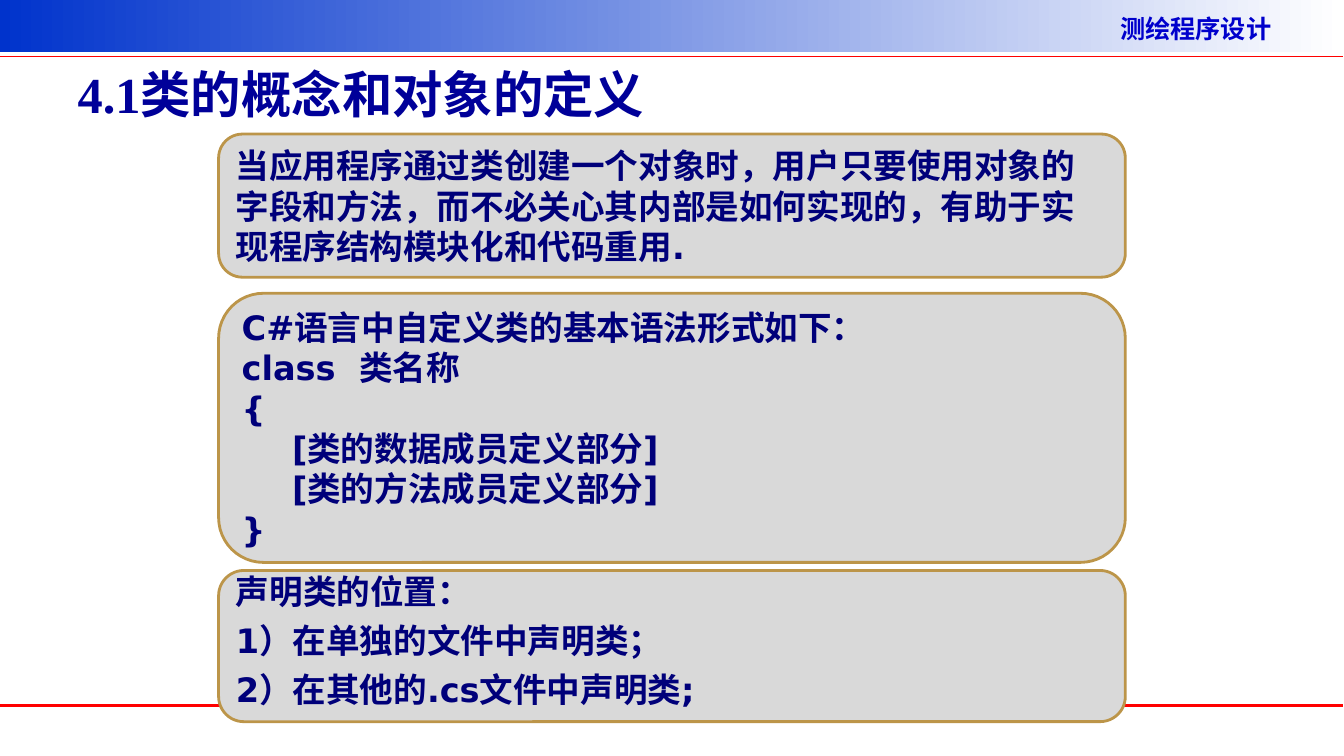
from pptx import Presentation
from pptx.dml.color import RGBColor
from pptx.enum.shapes import MSO_CONNECTOR, MSO_SHAPE
from pptx.enum.text import MSO_ANCHOR, PP_ALIGN
from pptx.oxml.ns import qn
from pptx.util import Inches, Pt
from lxml.etree import SubElement

COLORS = {"blue": "0033CC", "white": "FFFFFF", "course": "0000CC", "title": "000099",
          "red": "FF0000", "panel": "D9D9D9", "gold": "BC9549", "navy": "00007A"}
CJK = "Noto Sans CJK SC"
COURSE = {"name": CJK, "size": Pt(18), "bold": True}
TITLE = {"name": "Times New Roman", "size": Pt(36), "bold": True}
BODY = {"name": "DejaVu Sans", "size": Pt(24), "bold": True}
SPACED = {"line_spacing": Pt(20), "space_before": Pt(15)}

PANELS = [
    (1.33, 1.42, ["当应用程序通过类创建一个对象时，用户只要使用对象的字段和方法，"
                  "而不必关心其内部是如何实现的，有助于实现程序结构模块化和代码重用."], {}),
    (2.91, 2.67, ["C#语言中自定义类的基本语法形式如下：", "class  类名称", "{",
                  "\t[类的数据成员定义部分]", "\t[类的方法成员定义部分]", "}"], {}),
    (5.66, 1.5, ["声明类的位置：", "1）在单独的文件中声明类；",
                 "2）在其他的.cs文件中声明类;"], SPACED),
]


def rgb(name):
    return RGBColor.from_string(COLORS[name])


class SlideBuilder:
    def __init__(self, prs):
        self.s = prs.slides.add_slide(prs.slide_layouts[5])

    def fill_text(self, tf, lines, font, color, spacing):
        tf.word_wrap = True
        for i, line in enumerate(lines):
            p = tf.add_paragraph() if i else tf.paragraphs[0]
            p.alignment = PP_ALIGN.LEFT
            for key, value in spacing.items():
                setattr(p, key, value)
            r = p.add_run()
            r.text = line
            for key, value in font.items():
                setattr(r.font, key, value)
            r.font.color.rgb = rgb(color)
            SubElement(r.font._element, qn("a:ea")).set("typeface", CJK)

    def title(self, text, *box):
        sp = self.s.shapes.title
        sp.left, sp.top, sp.width, sp.height = map(Inches, box)
        sp.text_frame.vertical_anchor = MSO_ANCHOR.MIDDLE
        self.fill_text(sp.text_frame, [text], TITLE, "title", {})

    def text(self, text, *box):
        sp = self.s.shapes.add_textbox(*map(Inches, box))
        self.fill_text(sp.text_frame, [text], COURSE, "course", {})

    def banner(self, *box):
        sp = self.s.shapes.add_shape(MSO_SHAPE.RECTANGLE, *map(Inches, box))
        sp.shadow.inherit = False
        sp.line.fill.background()
        sp.fill.gradient()
        sp.fill.gradient_angle = 0
        for stop, color in zip(sp.fill.gradient_stops, ("blue", "white")):
            stop.color.rgb = rgb(color)

    def rule(self, y, weight):
        line = self.s.shapes.add_connector(
            MSO_CONNECTOR.STRAIGHT, 0, Inches(y), Inches(13.33), Inches(y))
        line.line.color.rgb = rgb("red")
        line.line.width = Pt(weight)
        SubElement(line._element.spPr, qn("a:effectLst"))

    def panel(self, top, height, lines, spacing):
        sp = self.s.shapes.add_shape(MSO_SHAPE.ROUNDED_RECTANGLE, Inches(2.17),
                                     Inches(top), Inches(9), Inches(height))
        sp.shadow.inherit = False
        sp.fill.solid()
        sp.fill.fore_color.rgb = rgb("panel")
        sp.line.color.rgb = rgb("gold")
        sp.line.width = Pt(2)
        sp.text_frame.vertical_anchor = MSO_ANCHOR.MIDDLE
        self.fill_text(sp.text_frame, lines, BODY, "navy", spacing)


def main():
    prs = Presentation()
    prs.slide_width, prs.slide_height = Inches(13.34), Inches(7.5)
    slide = SlideBuilder(prs)
    slide.banner(0, 0, 13.33, 0.52)
    slide.text("测绘程序设计", 11.02, 0.08, 2.3, 0.4)
    slide.rule(0.56, 1)
    slide.rule(7, 2.25)
    slide.title("4.1类的概念和对象的定义", 0.67, 0.3, 12, 1.25)
    for panel in PANELS:
        slide.panel(*panel)
    prs.save("out.pptx")


if __name__ == "__main__":
    main()
